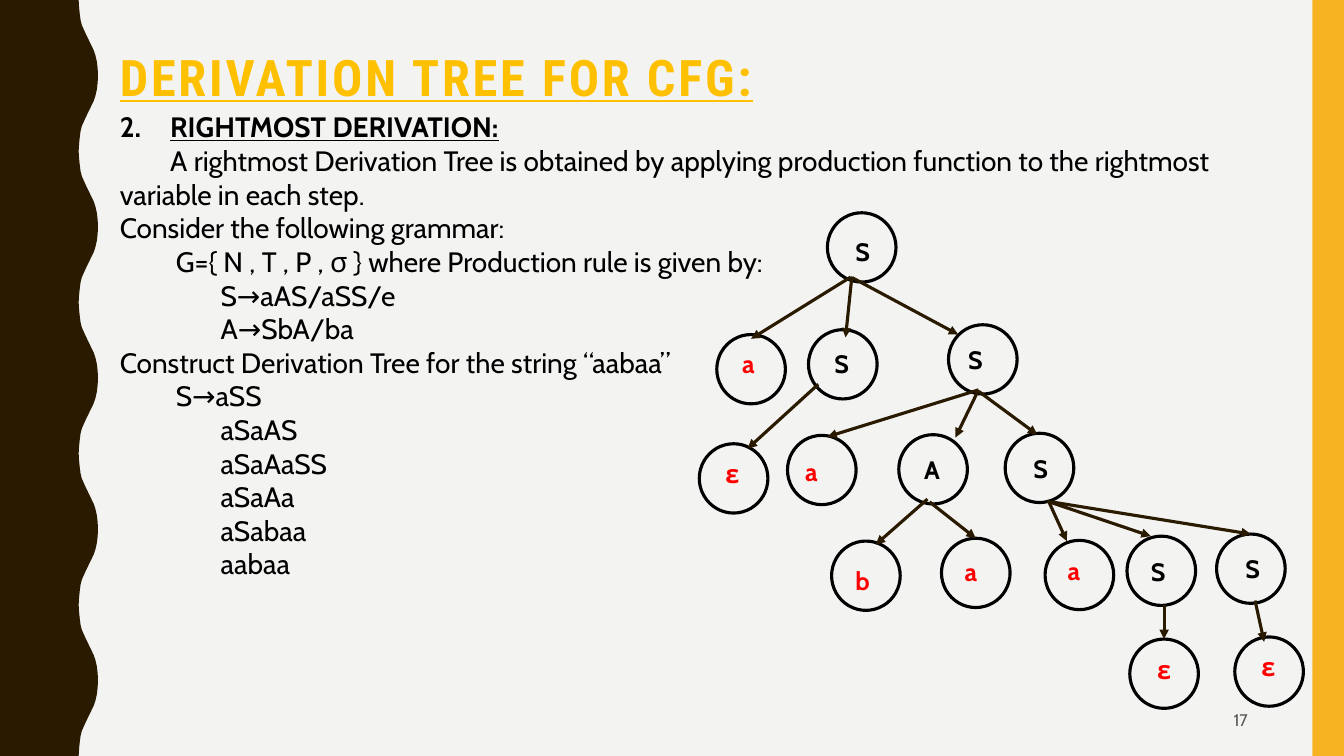
"""Build a slide on rightmost derivation with its derivation tree."""
import pptx
import pptx.dml.color
import pptx.enum.shapes
import pptx.enum.text
import pptx.oxml
import pptx.util
from lxml import etree

Pt = pptx.util.Pt
RGB = pptx.dml.color.RGBColor
SHAPE = pptx.enum.shapes.MSO_SHAPE
ALIGN = pptx.enum.text.PP_ALIGN
ANCHOR = pptx.enum.text.MSO_ANCHOR
qn = pptx.oxml.ns.qn

PAPER = RGB(0xF3, 0xF3, 0xF2)
BROWN = RGB(0x2A, 0x1A, 0x00)
AMBER = RGB(0xF8, 0xB3, 0x23)
GOLD = RGB(0xFF, 0xC0, 0x00)
GREY = RGB(0x59, 0x59, 0x59)
BLACK = RGB(0x00, 0x00, 0x00)
RED = RGB(0xFF, 0x00, 0x00)

WAVE_PERIOD = 108
WAVE_RISE = [(0, 56.2), (5, 56.5), (10, 57), (14.5, 57.6), (18, 58.5),
             (24, 61.2), (36, 67), (39.6, 68.2), (44, 69.2), (49, 69.8)]

BODY = [
    ("RIGHTMOST DERIVATION:", 36, -36),
    ("A rightmost Derivation Tree is obtained by applying production "
     "function to the rightmost variable in each step.", 0, 36),
    ("Consider the following grammar:", 0, 0),
    ("G={ N , T , P , σ } where Production rule is given by:", 40, 0),
    ("S→aAS/aSS/e", 72, 0),
    ("A→SbA/ba", 72, 0),
    ("Construct Derivation Tree for the string “aabaa”", 0, 0),
    ("S→aSS", 40, 0),
    ("aSaAS", 72, 0),
    ("aSaAaSS", 72, 0),
    ("aSaAa", 72, 0),
    ("aSabaa", 72, 0),
    ("aabaa", 72, 0),
]

NODES = [
    ("S", 591, 152, 604, 165),
    ("a", 512, 239, 523, 245),
    ("S", 577.5, 235.5, 589, 245),
    ("S", 677.5, 232, 684.5, 242.5),
    ("ε", 499.5, 317, 511, 324),
    ("a", 562.5, 311, 568, 322.5),
    ("A", 642, 310.5, 653, 321),
    ("S", 718, 309.5, 731, 320.5),
    ("b", 594, 386.5, 604, 400.5),
    ("a", 672.5, 384.5, 682, 394),
    ("a", 746.5, 386, 755.5, 393),
    ("S", 805, 383, 815, 394),
    ("S", 869, 381.5, 882.5, 391.5),
    ("ε", 807, 456.5, 819.5, 463.5),
    ("ε", 882, 455, 894, 462),
]

EDGES = [
    (607.5, 198, 536.5, 242),
    (608.5, 197.5, 604, 241),
    (609, 198.5, 684.5, 239),
    (584.5, 274.5, 534, 320.5),
    (699, 278.5, 591, 312),
    (698.5, 279.5, 682.5, 312.5),
    (699, 279.5, 741, 310.5),
    (662.5, 356.5, 625.5, 389),
    (664, 358.5, 697, 384.5),
    (749, 358, 762, 386.5),
    (748, 358, 822, 383),
    (751, 358.5, 893.5, 381.5),
    (831.5, 432.5, 831.5, 456.5),
    (896.5, 429, 903, 458.5),
]


class Board:
    """Hold the slide and its style, and draw each kind of element."""

    def __init__(self, s):
        self.s = s
        self.font = "Cabin"
        self.line_width = Pt(2.25)
        s.background.fill.solid()
        s.background.fill.fore_color.rgb = PAPER

    def paint(self, sp, color):
        """Fill a shape with one flat colour."""
        sp.shadow.inherit = False
        sp.fill.solid()
        sp.fill.fore_color.rgb = color
        sp.line.fill.background()

    def bar(self, x, y, w, h, color):
        """Draw a plain filled rectangle."""
        sp = self.s.shapes.add_shape(SHAPE.RECTANGLE, Pt(x), Pt(y), Pt(w), Pt(h))
        self.paint(sp, color)

    def wave(self, height, color):
        """Draw the left band with its wavy right edge."""
        fall = [(WAVE_PERIOD - y, x) for y, x in reversed(WAVE_RISE[1:])]
        cycle = WAVE_RISE + [(WAVE_PERIOD / 2, 70)] + fall
        edge = [(Pt(x), Pt(top + y)) for top in range(0, height, WAVE_PERIOD)
                for y, x in cycle]
        edge += [(Pt(WAVE_RISE[0][1]), Pt(height)), (0, Pt(height))]
        builder = self.s.shapes.build_freeform(0, 0)
        builder.add_line_segments(edge, close=True)
        self.paint(builder.convert_to_shape(), color)

    def text(self, x, y, w, h, lines, size, color, bold=False, font=None):
        """Write one paragraph per line and return the text frame."""
        tf = self.s.shapes.add_textbox(Pt(x), Pt(y), Pt(w), Pt(h)).text_frame
        tf.word_wrap = True
        tf.text = "\n".join(lines)
        for p in tf.paragraphs:
            p.font.name = font or self.font
            p.font.size = Pt(size)
            p.font.bold = bold
            p.font.color.rgb = color
        return tf

    def title(self, x, y, w, h, text):
        """Write the underlined, letter-spaced heading."""
        tf = self.text(x, y, w, h, [text], 36, GOLD, True, "Roboto Condensed")
        p = tf.paragraphs[0]
        p.line_spacing = 0.9
        p.font.underline = True
        p.runs[0]._r.get_or_add_rPr().set("spc", "200")

    def body(self, x, y, w, h, items, number):
        """Write the indented text under a numbered subheading."""
        tf = self.text(x, y, w, h, [item[0] for item in items], 20, BLACK)
        for p, (_, margin, indent) in zip(tf.paragraphs, items):
            pPr = p._p.get_or_add_pPr()
            pPr.set("marL", str(Pt(margin)))
            pPr.set("indent", str(Pt(indent)))
        head = tf.paragraphs[0]
        head.font.bold = True
        head.runs[0].font.bold = True
        head.runs[0].font.underline = True
        bullet = etree.Element(qn("a:buAutoNum"), type="arabicPeriod",
                               startAt=str(number))
        head._p.pPr.insert(0, bullet)

    def page_number(self, x, y, w, h, number):
        """Write the slide number."""
        tf = self.text(x, y, w, h, [str(number)], 12, GREY)
        tf.vertical_anchor = ANCHOR.MIDDLE
        tf.paragraphs[0].alignment = ALIGN.RIGHT

    def node(self, label, x, y, label_x, label_y):
        """Draw a tree node, with variables black and terminals red."""
        sp = self.s.shapes.add_shape(SHAPE.OVAL, Pt(x), Pt(y), Pt(49), Pt(49.5))
        sp.shadow.inherit = False
        sp.fill.background()
        sp.line.color.rgb = BLACK
        sp.line.width = self.line_width
        color = BLACK if label.isupper() else RED
        self.text(label_x, label_y, 52, 29, [label], 18, color, True)

    def arrow(self, x1, y1, x2, y2):
        """Draw an arrow from a parent to a child."""
        c = self.s.shapes.add_connector(
            pptx.enum.shapes.MSO_CONNECTOR.STRAIGHT, Pt(x1), Pt(y1), Pt(x2), Pt(y2))
        c.line.color.rgb = BROWN
        c.line.width = self.line_width
        etree.SubElement(c.line._get_or_add_ln(), qn("a:tailEnd"), type="triangle")
        etree.SubElement(c._element.spPr, qn("a:effectLst"))


def main():
    """Lay out the slide and save it."""
    prs = pptx.Presentation()
    prs.slide_width, prs.slide_height = Pt(960), Pt(540)
    board = Board(prs.slides.add_slide(prs.slide_layouts[6]))
    board.wave(540, BROWN)
    board.bar(937.5, 0, 22.5, 540, AMBER)
    board.title(78.5, 34, 843, 70.5, "DERIVATION TREE FOR CFG:")
    board.page_number(677, 500.5, 221.5, 27, 17)
    board.body(78.5, 75, 851, 346, BODY, 2)
    for node in NODES:
        board.node(*node)
    for edge in EDGES:
        board.arrow(*edge)
    prs.save("out.pptx")


if __name__ == "__main__":
    main()
